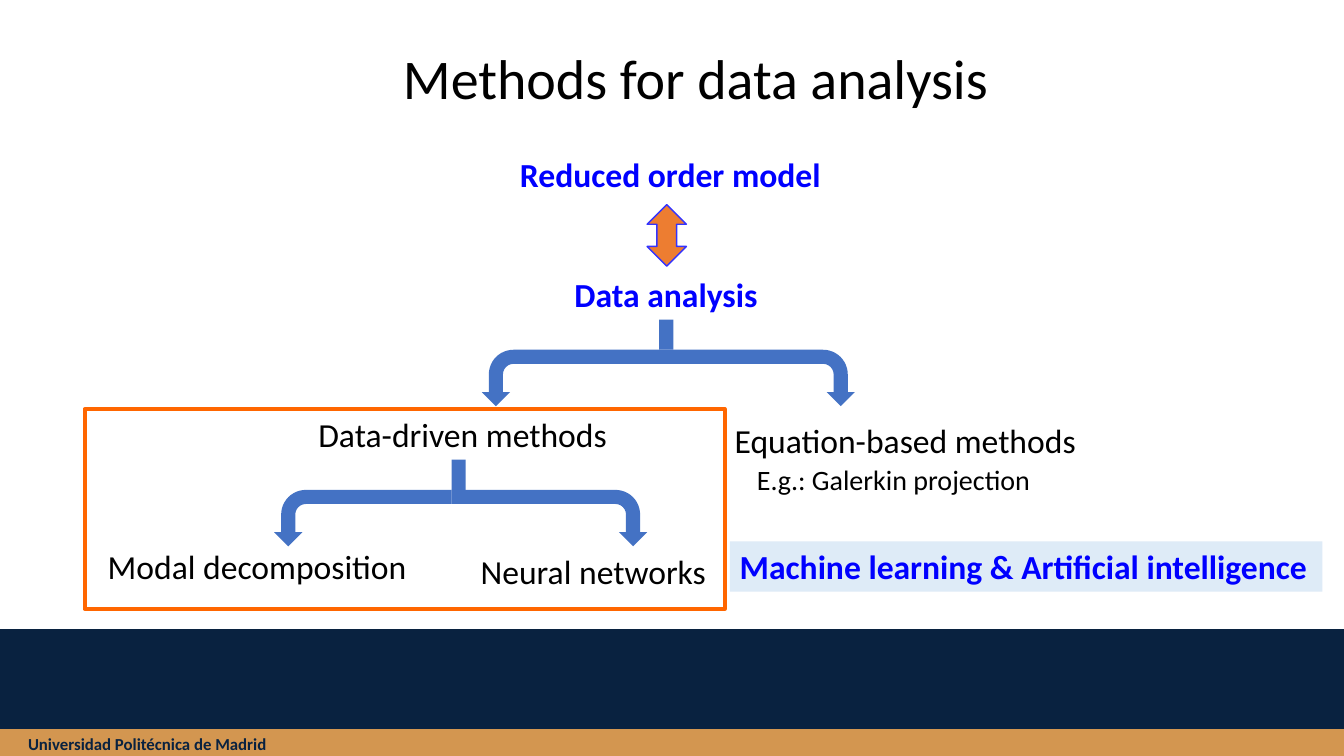
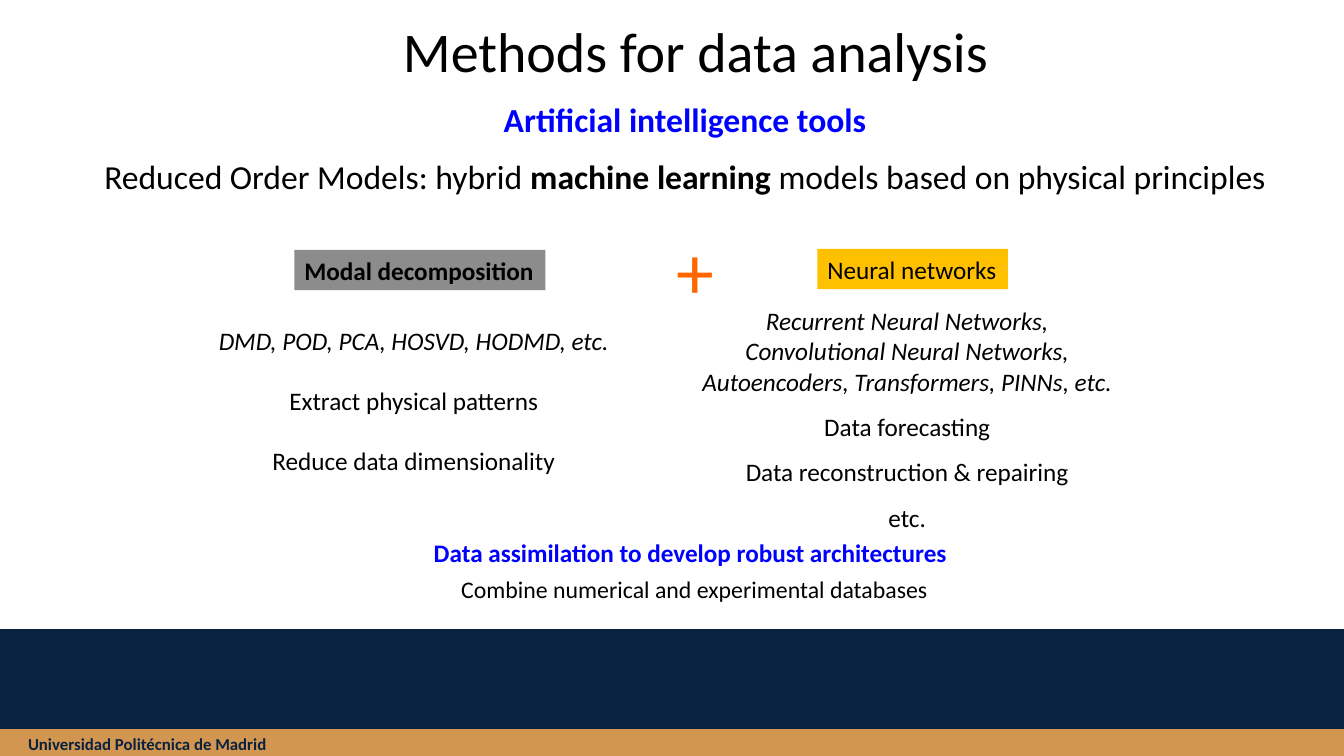
"""Build two slides on methods for data analysis."""
from lxml.etree import SubElement
from pptx import Presentation
from pptx.dml.color import RGBColor
from pptx.enum.shapes import MSO_SHAPE as Preset
from pptx.enum.text import MSO_ANCHOR as Anchor, MSO_AUTO_SIZE as AutoSize, PP_ALIGN as Align
from pptx.oxml.ns import qn
from pptx.util import Inches, Pt

COLUMNS, ROWS = 80, 45
WIDTH, HEIGHT = Inches(13.33), Inches(7.5)
TITLE_ONLY, TWO_CONTENT = 5, 3
COLOURS = {
    "black": "000000", "blue": "0000FF", "navy": "092240", "sand": "D39650",
    "arrow": "4472C4", "orange": "ED7D31", "outline": "3333FF", "accent": "FF6600",
    "pale": "DEEBF7", "grey": "8C8C8C", "amber": "FFC000",
}
STYLES = {
    "title": ("black", {"size": Pt(40)}),
    "heading": ("blue", {"size": Pt(24), "bold": True}),
    "node": ("black", {"size": Pt(24)}),
    "strong": ("black", {"size": Pt(24), "bold": True}),
    "example": ("black", {"size": Pt(20)}),
    "item": ("black", {"size": Pt(18)}),
    "methods": ("black", {"size": Pt(18), "italic": True}),
    "label": ("black", {"size": Pt(18), "bold": True}),
    "goal": ("blue", {"size": Pt(18), "bold": True}),
    "remark": ("black", {"size": Pt(17)}),
    "plus": ("accent", {"size": Pt(54)}),
    "footer": ("navy", {"size": Pt(12), "bold": True}),
}
CENTRED = {"alignment": Align.CENTER, "space_before": Pt(0)}
OPEN = {**CENTRED, "line_spacing": 1.5}
SPACED = {**CENTRED, "space_before": Pt(21)}


def colour(name):
    return RGBColor.from_string(COLOURS[name])


def set_values(target, values):
    for name, value in values.items():
        setattr(target, name, value)


def grid(left, top, width, height):
    column, row = WIDTH / COLUMNS, HEIGHT / ROWS
    return [round(size) for size in (left * column, top * row, width * column, height * row)]


def move(shape, box):
    set_values(shape, dict(zip(("left", "top", "width", "height"), grid(*box))))


def write(frame, lines):
    """Write lines, each a pair of runs and paragraph values."""
    for index, (runs, values) in enumerate(lines):
        paragraph = frame.add_paragraph() if index else frame.paragraphs[0]
        set_values(paragraph, values)
        for text, style in runs:
            run = paragraph.add_run()
            run.text = text
            colour_name, font_values = STYLES[style]
            set_values(run.font, {"name": "Calibri", **font_values})
            run.font.color.rgb = colour(colour_name)


def add_text(slide, box, lines, fill=None, wrap=False):
    shape = slide.shapes.add_textbox(*grid(*box))
    set_values(shape.text_frame, {"word_wrap": wrap, "auto_size": AutoSize.SHAPE_TO_FIT_TEXT})
    if fill:
        shape.fill.solid()
        shape.fill.fore_color.rgb = colour(fill)
    write(shape.text_frame, lines)


def add_label(slide, box, text, style, values=None, **options):
    add_text(slide, box, [([(text, style)], values or {})], **options)


def add_list(placeholder, box, lines):
    """Fill a body placeholder with centred lines without bullets."""
    move(placeholder, box)
    frame = placeholder.text_frame
    set_values(frame, {"word_wrap": False, "auto_size": AutoSize.SHAPE_TO_FIT_TEXT,
                       "vertical_anchor": Anchor.TOP})
    write(frame, [([(text, style)], values) for text, style, values in lines])
    for paragraph in frame.paragraphs:
        properties = paragraph._p.get_or_add_pPr()
        properties.set("marL", "0")
        properties.set("indent", "0")
        SubElement(properties, qn("a:buNone"))


def add_shape(slide, preset, box, fill=None, line=None, weight=1):
    shape = slide.shapes.add_shape(preset, *grid(*box))
    shape.shadow.inherit = False
    if fill:
        shape.fill.solid()
        shape.fill.fore_color.rgb = colour(fill)
    else:
        shape.fill.background()
    if line:
        shape.line.color.rgb = colour(line)
        shape.line.width = Pt(weight)
    else:
        shape.line.fill.background()
    return shape


def add_branch(slide, left, top, span, drop, mirrored):
    """Draw a bent arrow that runs sideways over span and down by drop."""
    box = (left + (span - drop) / 2, top + (drop - span) / 2, drop, span)
    arrow = add_shape(slide, Preset.BENT_ARROW, box, fill="arrow")
    arrow.rotation = 90
    if mirrored:
        arrow._element.spPr.xfrm.set("flipV", "1")


def add_fork(slide, left, top):
    stem, drop, left_span, right_span = 1.8, 3.36, 10.56, 11.64
    add_branch(slide, left, top + stem, right_span, drop, False)
    add_branch(slide, left - left_span, top + stem, left_span, drop, True)
    add_shape(slide, Preset.RECTANGLE, (left, top, 0.84, stem), fill="arrow")


def add_title(slide, top):
    title = slide.shapes.title
    move(title, (14.4, top, 54, 7.5))
    set_values(title.text_frame, {"vertical_anchor": Anchor.BOTTOM, "word_wrap": True,
                                  "auto_size": AutoSize.NONE})
    values = {**CENTRED, "line_spacing": 0.9}
    write(title.text_frame, [([("Methods for data analysis", "title")], values)])


def add_footer(slide):
    for top, height, name in ((39.78, 5.22, "sand"), (37.5, 5.88, "navy")):
        add_shape(slide, Preset.RECTANGLE, (0, top, COLUMNS, height), fill=name, line=name)
    add_label(slide, (1.08, 43.38, 15.6, 1.8), "Universidad Politécnica de Madrid", "footer")


def build_overview(presentation):
    slide = presentation.slides.add_slide(presentation.slide_layouts[TITLE_ONLY])
    add_title(slide, -0.54)
    add_shape(slide, Preset.UP_DOWN_ARROW, (38.52, 12.18, 2.34, 3.66), "orange", "outline")
    for left, top in ((39.24, 19.02), (26.88, 27.36)):
        add_fork(slide, left, top)
    for left, top, width, text, style in (
        (30.36, 8.88, 19.26, "Reduced order model", "heading"),
        (33.6, 16.02, 12.84, "Data analysis", "heading"),
        (43.14, 24.72, 22.14, "Equation-based methods", "node"),
        (18.36, 24.36, 18.54, "Data-driven methods", "node"),
        (5.82, 32.22, 19.14, "Modal decomposition", "node"),
        (28.02, 32.52, 14.76, "Neural networks", "node"),
    ):
        add_label(slide, (left, top, width, 3), text, style)
    add_shape(slide, Preset.RECTANGLE, (5.04, 24.36, 38.1, 11.88), line="accent", weight=3)
    add_label(slide, (43.44, 32.22, 35.28, 3), "Machine learning & Artificial intelligence",
              "heading", fill="pale", wrap=True)
    add_label(slide, (44.46, 27.24, 17.64, 2.64), "E.g.: Galerkin projection", "example")
    add_footer(slide)


def build_tools(presentation):
    slide = presentation.slides.add_slide(presentation.slide_layouts[TWO_CONTENT])
    add_title(slide, -2.16)
    add_text(slide, (5.28, 5.58, 70.98, 6.48), [
        ([("Artificial intelligence tools", "heading")], CENTRED),
        ([("Reduced Order Models: hybrid ", "node"), ("machine learning ", "strong"),
          ("models based on physical principles", "node")],
         {**CENTRED, "space_before": Pt(12)}),
    ])
    modal, neural = list(slide.placeholders)[1:]
    add_list(modal, (12.3, 19.08, 24.66, 11.52), [
        ("DMD, POD, PCA, HOSVD, HODMD, etc.", "methods", CENTRED),
        ("Extract physical patterns", "item", SPACED),
        ("Reduce data dimensionality", "item", SPACED),
    ])
    add_list(neural, (41.1, 17.88, 25.8, 13.98), [
        ("Recurrent Neural Networks,", "methods", CENTRED),
        ("Convolutional Neural Networks,", "methods", CENTRED),
        ("Autoencoders, Transformers, PINNs, etc.", "methods", CENTRED),
        ("Data forecasting", "item", OPEN),
        ("Data reconstruction & repairing", "item", OPEN),
        ("etc.", "item", OPEN),
    ])
    add_label(slide, (17.52, 14.88, 14.94, 2.4), "Modal decomposition", "label", fill="grey")
    add_label(slide, (48.66, 14.82, 11.34, 2.4), "Neural networks", "item", fill="amber")
    add_label(slide, (39.66, 13.02, 3.72, 6.06), "+", "plus")
    add_label(slide, (23.7, 31.68, 34.8, 2.4),
              "Data assimilation to develop robust architectures", "goal", CENTRED)
    add_label(slide, (22.26, 33.9, 38.16, 2.34),
              "Combine numerical and experimental databases", "remark", CENTRED)
    add_footer(slide)


def main():
    presentation = Presentation()
    set_values(presentation, {"slide_width": WIDTH, "slide_height": HEIGHT})
    build_overview(presentation)
    build_tools(presentation)
    presentation.save("out.pptx")


if __name__ == "__main__":
    main()
